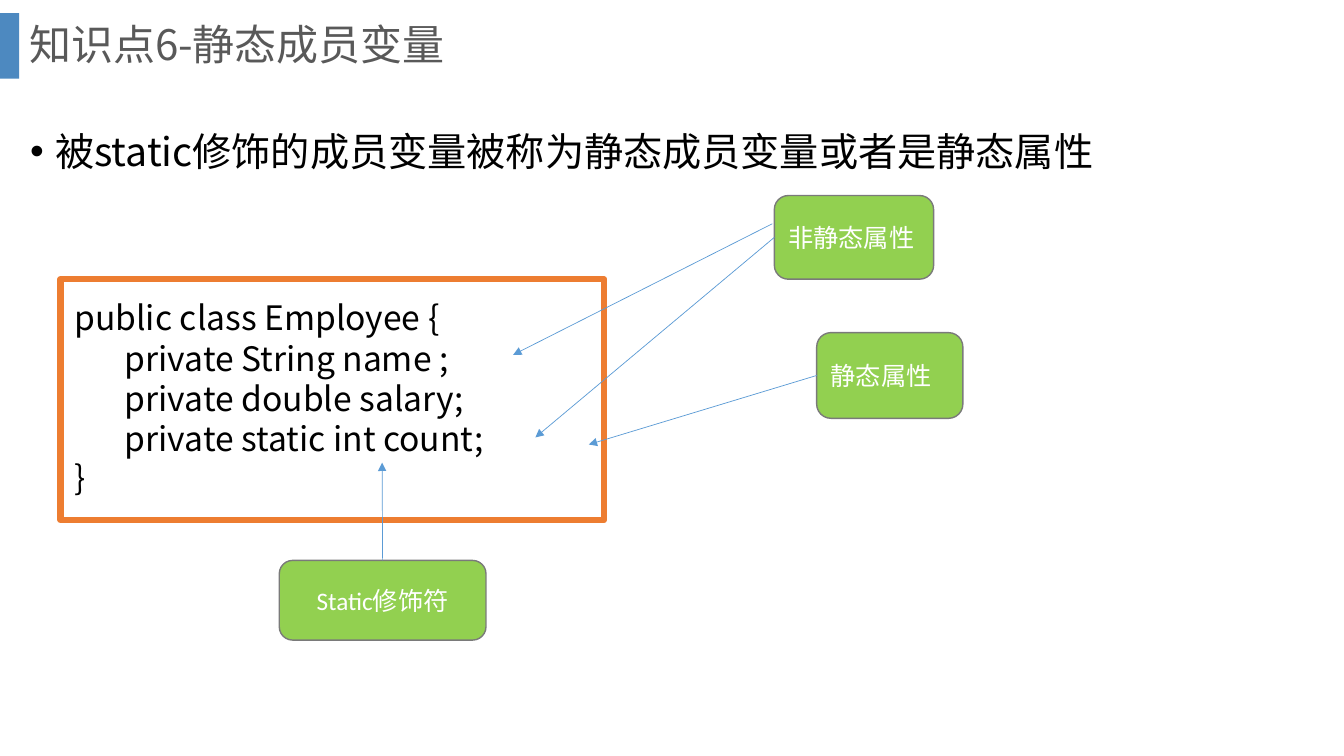
from dataclasses import dataclass

from lxml import etree
from pptx import Presentation
from pptx.dml.color import RGBColor
from pptx.enum.shapes import MSO_CONNECTOR, MSO_SHAPE
from pptx.enum.text import MSO_ANCHOR, PP_ALIGN
from pptx.oxml.ns import qn
from pptx.util import Inches, Pt

RECT, ROUND = MSO_SHAPE.RECTANGLE, MSO_SHAPE.ROUNDED_RECTANGLE
STRAIGHT = MSO_CONNECTOR.STRAIGHT
TOP, MIDDLE = MSO_ANCHOR.TOP, MSO_ANCHOR.MIDDLE
LEFT, CENTER = PP_ALIGN.LEFT, PP_ALIGN.CENTER
TOP_SIDE, LEFT_SIDE = 0, 1


@dataclass(frozen=True)
class Theme:
    accent: str = "2E75B6"
    title: str = "595959"
    text: str = "000000"
    frame: str = "ED7D31"
    label: str = "92D050"
    label_line: str = "7A7A7A"
    label_text: str = "FFFFFF"
    arrow: str = "5B9BD5"
    font: str = "Noto Sans CJK SC"
    label_font: str = "Calibri"
    title_size: int = 30
    body_size: int = 28
    code_size: int = 24
    label_size: int = 18


def rgb(value):
    return RGBColor.from_string(value)


class SlideBuilder:
    def __init__(self, slide, theme):
        self.s = slide
        self.theme = theme

    def set_text(self, sp, lines, size, color, font, anchor=TOP, **paragraph):
        tf = sp.text_frame
        tf.word_wrap = True
        tf.vertical_anchor = anchor
        for i, line in enumerate(lines):
            p = tf.add_paragraph() if i else tf.paragraphs[0]
            for name, value in {"alignment": LEFT, **paragraph}.items():
                setattr(p, name, value)
            r = p.add_run()
            r.text = line
            for name, value in {"size": Pt(size), "name": font}.items():
                setattr(r.font, name, value)
            r.font.color.rgb = rgb(color)
            ea = etree.SubElement(r._r.rPr, qn("a:ea"))
            ea.set("typeface", self.theme.font)

    def text(self, box, lines, size, color, **kw):
        sp = self.s.shapes.add_textbox(*map(Inches, box))
        self.set_text(sp, lines, size, color, self.theme.font, **kw)
        return sp

    def bullet(self, box, line, **kw):
        sp = self.text(box, [line], self.theme.body_size, self.theme.text, **kw)
        pPr = sp.text_frame.paragraphs[0]._p.get_or_add_pPr()
        pPr.set("marL", str(Inches(0.25)))
        pPr.set("indent", str(Inches(-0.25)))
        etree.SubElement(pPr, qn("a:buFont")).set("typeface", "Arial")
        etree.SubElement(pPr, qn("a:buChar")).set("char", "•")

    def shape(self, kind, box, fill=None, line=None, width=1, alpha=None):
        sp = self.s.shapes.add_shape(kind, *map(Inches, box))
        sp.shadow.inherit = False
        if fill:
            sp.fill.solid()
            sp.fill.fore_color.rgb = rgb(fill)
        else:
            sp.fill.background()
        if alpha:
            clr = sp._element.spPr.find(".//" + qn("a:srgbClr"))
            etree.SubElement(clr, qn("a:alpha")).set("val", str(alpha * 1000))
        if line:
            sp.line.color.rgb = rgb(line)
            sp.line.width = Pt(width)
        else:
            sp.line.fill.background()
        return sp

    def label(self, box, line, alignment=LEFT):
        t = self.theme
        sp = self.shape(ROUND, box, t.label, t.label_line)
        self.set_text(sp, [line], t.label_size, t.label_text, t.label_font,
                      anchor=MIDDLE, alignment=alignment)
        return sp

    def arrow(self, start, end, source=None, side=LEFT_SIDE):
        cx = self.s.shapes.add_connector(STRAIGHT, *map(Inches, start + end))
        if source is not None:
            cx.begin_connect(source, side)
        cx.line.color.rgb = rgb(self.theme.arrow)
        cx.line.width = Pt(0.5)
        spPr = cx._element.spPr
        etree.SubElement(spPr.find(qn("a:ln")), qn("a:tailEnd")).set("type", "triangle")
        etree.SubElement(spPr, qn("a:effectLst"))


def main():
    prs = Presentation()
    prs.slide_width, prs.slide_height = Inches(13.33), Inches(7.5)
    t = Theme()
    s = SlideBuilder(prs.slides.add_slide(prs.slide_layouts[6]), t)

    s.shape(RECT, (0, 0.13, 0.19, 0.65), t.accent, alpha=85)
    s.text((0.19, 0, 12.66, 0.93), ["知识点6-静态成员变量"], t.title_size, t.title,
           anchor=MIDDLE, line_spacing=0.9)
    s.bullet((0.2, 0.98, 12.9, 5.96), "被static修饰的成员变量被称为静态成员变量或者是静态属性",
             line_spacing=1.5, space_before=Pt(10))

    s.shape(RECT, (0.6, 2.77, 5.39, 2.39), line=t.frame, width=4.5)
    fields = ["private String name ;", "private double salary;", "private static int count;"]
    code = ["public class Employee {", *("\t" + field for field in fields), "｝"]
    s.text((0.64, 2.9, 5.32, 2.12), code, t.code_size, t.text, line_spacing=Pt(28.8))

    instance = s.label((7.68, 1.94, 1.58, 0.83), "非静态属性")
    s.arrow((7.66, 2.22), (5.09, 3.52))
    s.arrow((7.68, 2.35), (5.31, 4.34), instance)
    static = s.label((8.1, 3.3, 1.45, 0.85), "静态属性")
    s.arrow((8.1, 3.73), (5.84, 4.41), static)
    modifier = s.label((2.77, 5.56, 2.05, 0.79), "Static修饰符", CENTER)
    s.arrow((3.79, 5.56), (3.79, 4.59), modifier, TOP_SIDE)

    prs.save("out.pptx")


if __name__ == "__main__":
    main()
